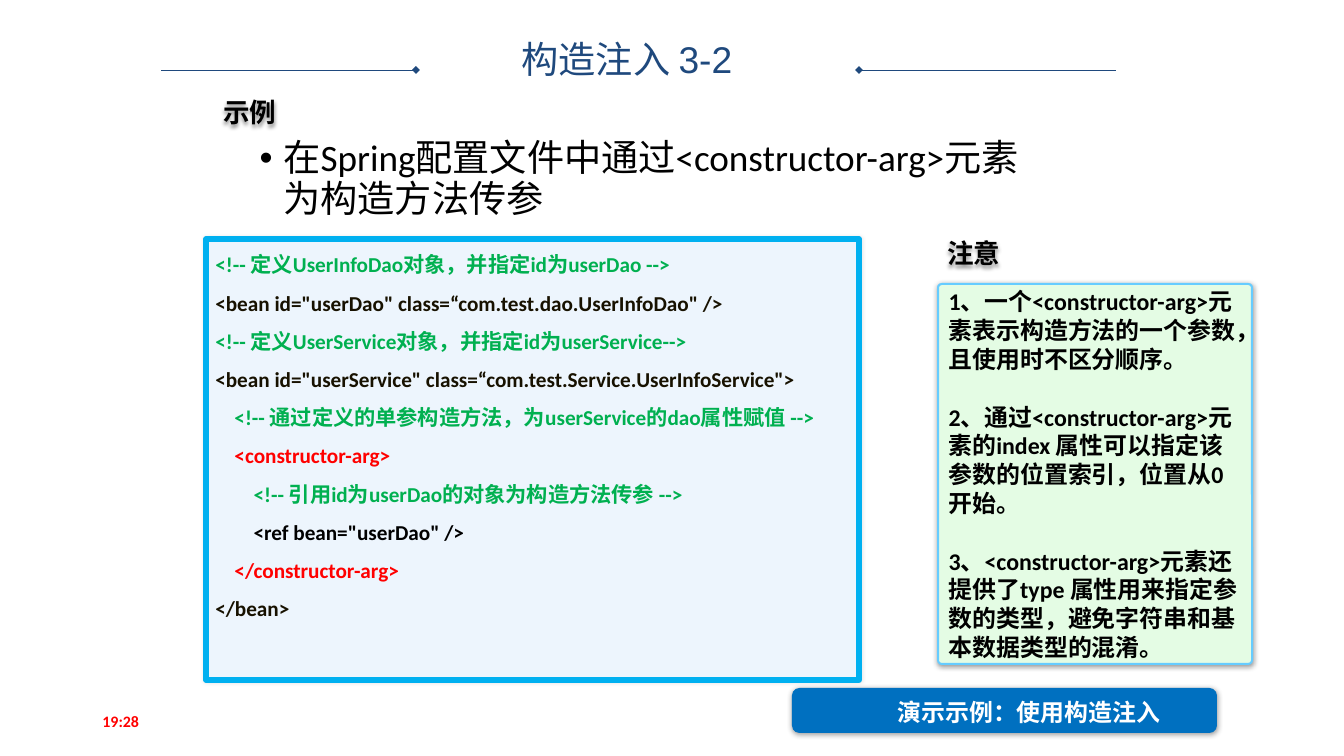
import pptx
import pptx.util
import pptx.dml.color
import pptx.enum.shapes
import pptx.enum.text
import lxml.etree
import pptx.oxml.ns

PX = 9565  # EMU in one px
COLORS = {
    "navy": "1F497D", "red": "FF0000", "green": "00B050", "black": "000000",
    "ink": "171100", "white": "FFFFFF", "mint": "E4FCE4", "sky": "66CCFF",
    "ice": "EDF5FD", "cyan": "00B0F0", "blue": "0070C0", "shade": "262626",
}
SHAPES = pptx.enum.shapes.MSO_SHAPE
ANCHORS = pptx.enum.text.MSO_ANCHOR
qn = pptx.oxml.ns.qn


def write(box, lines, size, font="Calibri", bold=False, line_spacing=None,
          gap=0, tab=None, align=pptx.enum.text.PP_ALIGN.LEFT):
    """Fill box with (text, colour name) lines; gap is the points between them."""
    frame = box.text_frame
    for index, (text, color) in enumerate(lines):
        para = frame.paragraphs[0] if index == 0 else frame.add_paragraph()
        para.text = text
        para.alignment = align
        para.space_before = pptx.util.Pt(gap if index else 0)
        if line_spacing:
            para.line_spacing = line_spacing
        if tab:
            tabs = lxml.etree.SubElement(para._p.get_or_add_pPr(), qn("a:tabLst"))
            lxml.etree.SubElement(tabs, qn("a:tab"), pos=str(tab * PX), algn="l")
        para.font.size = pptx.util.Pt(size)
        para.font.name = font
        para.font.bold = bold
        para.font.color.rgb = pptx.dml.color.RGBColor.from_string(COLORS[color])


def add_shadow(shape, color, opacity, blur, distance, direction):
    """Opacity in percent, blur and distance in points, direction in degrees."""
    shape.shadow.inherit = False
    effects = shape._element.spPr.find(qn("a:effectLst"))
    shadow = lxml.etree.SubElement(
        effects, qn("a:outerShdw"), blurRad=str(blur * 12700),
        dist=str(distance * 12700), dir=str(direction * 60000), rotWithShape="0")
    tint = lxml.etree.SubElement(shadow, qn("a:srgbClr"), val=COLORS[color])
    lxml.etree.SubElement(tint, qn("a:alpha"), val=str(opacity * 1000))


deck = pptx.Presentation()
deck.slide_width, deck.slide_height = 1344 * PX, 756 * PX
page = deck.slides.add_slide(deck.slide_layouts[1])

# Title between two rules with diamond ends
for inner, outer in [(416, 161), (859, 1116)]:
    rule = page.shapes.add_connector(
        pptx.enum.shapes.MSO_CONNECTOR.STRAIGHT, inner * PX, 70 * PX, outer * PX, 70 * PX)
    rule.line.color.rgb = pptx.dml.color.RGBColor.from_string(COLORS["navy"])
    rule.line.width = pptx.util.Pt(0.25)
    lxml.etree.SubElement(rule.line._get_or_add_ln(), qn("a:headEnd"), type="diamond")
    lxml.etree.SubElement(rule._element.spPr, qn("a:effectLst"))

title = page.shapes.title
title.left, title.top, title.width, title.height = 334 * PX, 39 * PX, 586 * PX, 45 * PX
title.text_frame.auto_size = pptx.enum.text.MSO_AUTO_SIZE.NONE
title.text_frame.vertical_anchor = ANCHORS.MIDDLE
write(title, [("构造注入 3-2", "navy")], 28, font="Arial", line_spacing=0.9,
      align=pptx.enum.text.PP_ALIGN.CENTER)

# Main point
body = page.placeholders[1]
body.left, body.top, body.width, body.height = 250 * PX, 135 * PX, 799 * PX, 549 * PX
body.text_frame.auto_size = pptx.enum.text.MSO_AUTO_SIZE.NONE
bullet_props = body.text_frame.paragraphs[0]._p.get_or_add_pPr()
bullet_props.set("marL", str(24 * PX))
bullet_props.set("indent", str(-24 * PX))
write(body, [("在Spring配置文件中通过<constructor-arg>元素为构造方法传参", "black")], 28,
      line_spacing=0.9)

# Panels: code, notes and the demo badge
panels = {}
for name, preset, bounds, fill, edge, edge_width, shadow in [
    ("notes", SHAPES.ROUNDED_RECTANGLE, (938, 284, 314, 380), "mint", "sky", 1.5,
     ("black", 40, 4, 1, 90)),
    ("code", SHAPES.RECTANGLE, (206, 239, 653, 441), "ice", "cyan", 4,
     ("black", 10, 3, 0, 0)),
    ("badge", SHAPES.FLOWCHART_ALTERNATE_PROCESS, (792, 688, 425, 45), "blue", None, 0,
     ("shade", 43, 4, 1, 90)),
]:
    panel = page.shapes.add_shape(preset, *[length * PX for length in bounds])
    panel.fill.solid()
    panel.fill.fore_color.rgb = pptx.dml.color.RGBColor.from_string(COLORS[fill])
    if edge:
        panel.line.color.rgb = pptx.dml.color.RGBColor.from_string(COLORS[edge])
        panel.line.width = pptx.util.Pt(edge_width)
    else:
        panel.line.fill.background()
    add_shadow(panel, *shadow)
    panel.text_frame.word_wrap = True
    panels[name] = panel

notes = panels["notes"]
notes.adjustments[0] = 0.012
notes.text_frame.vertical_anchor = ANCHORS.MIDDLE
write(notes, [
    ("1、一个<constructor-arg>元素表示构造方法的一个参数，且使用时不区分顺序。", "black"),
    ("2、通过<constructor-arg>元素的index 属性可以指定该参数的位置索引，位置从0 开始。", "black"),
    ("3、<constructor-arg>元素还提供了type 属性用来指定参数的类型，避免字符串和基本数据类型的混淆。",
     "black"),
], 18, bold=True, gap=22)

code = panels["code"]
code.text_frame.vertical_anchor = ANCHORS.TOP
code.text_frame.margin_top = code.text_frame.margin_bottom = 0
write(code, [
    ("<!-- 定义UserInfoDao对象，并指定id为userDao -->", "green"),
    ('<bean id="userDao" class=“com.test.dao.UserInfoDao" />', "ink"),
    ("<!-- 定义UserService对象，并指定id为userService-->", "green"),
    ('<bean id="userService" class=“com.test.Service.UserInfoService">', "ink"),
    ("    <!-- 通过定义的单参构造方法，为userService的dao属性赋值 -->", "green"),
    ("    <constructor-arg>", "red"),
    ("        <!-- 引用id为userDao的对象为构造方法传参 -->", "green"),
    ('        <ref bean="userDao" />', "black"),
    ("    </constructor-arg>", "red"),
    ("</bean>", "ink"),
], 16, bold=True, line_spacing=1.5, tab=47)

# Section labels, badge caption and time
for text, bounds, size, font, color, anchor, wrap, shaded in [
    ("示例", (214, 91, 74, 42), 20, "Noto Sans CJK SC", "black", ANCHORS.MIDDLE, False, True),
    ("注意", (938, 232, 74, 42), 20, "Noto Sans CJK SC", "black", ANCHORS.MIDDLE, False, True),
    ("演示示例：使用构造注入", (888, 693, 287, 38), 18, "Calibri", "white", ANCHORS.TOP, False,
     False),
    ("19:28", (93, 701, 302, 40), 12, "Calibri", "red", ANCHORS.MIDDLE, True, False),
]:
    label = page.shapes.add_textbox(*[length * PX for length in bounds])
    label.text_frame.word_wrap = wrap
    label.text_frame.vertical_anchor = anchor
    write(label, [(text, color)], size, font=font, bold=True)
    if shaded:
        add_shadow(label, "black", 43, 3, 2, 90)

deck.save("out.pptx")
